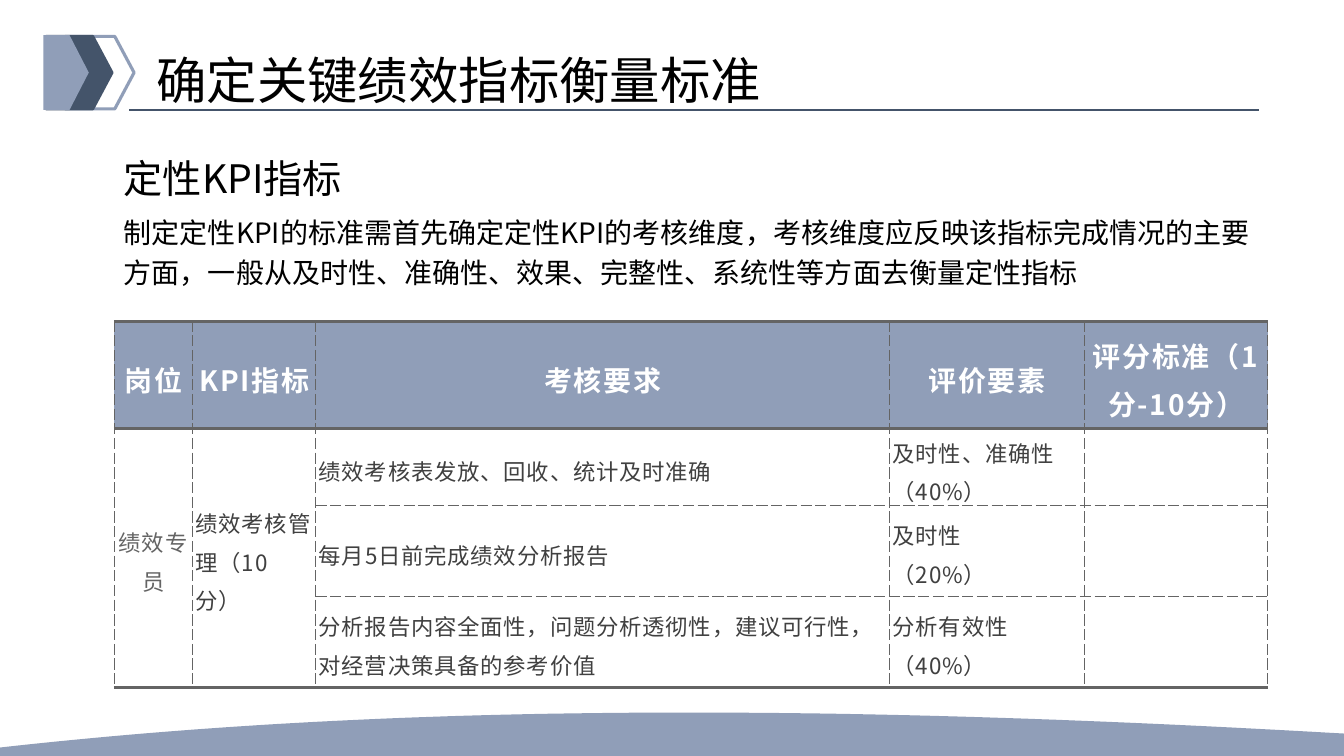
from typing import NamedTuple, Optional

from lxml import etree
from pptx import Presentation
from pptx import util as u
from pptx.dml.color import RGBColor
from pptx.enum import shapes, text
from pptx.oxml.ns import qn

Pt = u.Pt
FONT = "Noto Sans CJK SC"
BLUE = RGBColor(0x90, 0x9E, 0xB8)
NAVY = RGBColor(0x44, 0x54, 0x6A)
BLACK = RGBColor(0, 0, 0)
WHITE = RGBColor(255, 255, 255)
GREY = RGBColor(0x64, 0x64, 0x64)
DARK = RGBColor(0x40, 0x40, 0x40)
LEFT, MID = text.PP_ALIGN.LEFT, text.PP_ALIGN.CENTER


class Style(NamedTuple):
    size: float
    color: RGBColor
    line: float = 1.2
    before: float = 0
    align: text.PP_ALIGN = LEFT
    bold: bool = False
    track: float = 0


class Outline(NamedTuple):
    points: list
    fill: Optional[RGBColor]
    edge: Optional[RGBColor]


class Box(NamedTuple):
    words: str
    top: float
    style: Style


HEAD = Style(20, WHITE, align=MID, bold=True, track=1.2)
POST = Style(16, GREY, align=MID, track=0.6)
CELL = Style(16, DARK, track=0.6)


def write(frame, words: str, style: Style) -> None:
    """Fill a text frame, one paragraph per line of words."""
    frame.text = words
    for para in frame.paragraphs:
        para.alignment = style.align
        para.line_spacing = style.line
        para.space_before = Pt(style.before)
        font = para.font
        font.size, font.bold, font.name = Pt(style.size), style.bold, FONT
        font.color.rgb = style.color
        props = para._p.pPr.find(qn("a:defRPr"))
        props.set("spc", str(round(style.track * 100)))
        etree.SubElement(props, qn("a:ea"), typeface=FONT)


def draw(slide, item: Outline) -> None:
    """Draw a closed outline."""
    pts = [(Pt(x), Pt(y)) for x, y in item.points]
    pen = slide.shapes.build_freeform(*pts[0], scale=1.0)
    pen.add_line_segments(pts[1:], close=True)
    shape = pen.convert_to_shape()
    shape.shadow.inherit = False
    if item.fill is None:
        shape.fill.background()
    else:
        shape.fill.solid()
        shape.fill.fore_color.rgb = item.fill
    if item.edge is None:
        shape.line.fill.background()
    else:
        shape.line.color.rgb = item.edge
        shape.line.width = Pt(2.25)


def curve(a, b, c, d, steps: int = 40) -> list:
    """Points along a cubic curve."""
    out = []
    for i in range(steps + 1):
        t = i / steps
        s = 1 - t
        out.append(tuple(s**3 * p + 3 * s * s * t * q + 3 * s * t * t * r + t**3 * e
                         for p, q, r, e in zip(a, b, c, d)))
    return out


def border(cell, top: bool, base: bool) -> None:
    """Dash all four sides, or make the top or base thick and solid."""
    props = cell._tc.get_or_add_tcPr()
    sides = [("L", False), ("R", False), ("T", top), ("B", base)]
    for i, (side, thick) in enumerate(sides):
        line = etree.Element(qn("a:ln" + side), w=str(Pt(2.25 if thick else 0.75)))
        fill = etree.SubElement(line, qn("a:solidFill"))
        etree.SubElement(fill, qn("a:srgbClr"), val=str(GREY))
        etree.SubElement(line, qn("a:prstDash"), val="solid" if thick else "sysDash")
        props.insert(i, line)


def arrow(left: float, neck: float, tip: float, top: float, base: float) -> list:
    """Pentagon that points right."""
    return [(left, top), (neck, top), (tip, (top + base) / 2), (neck, base), (left, base)]


# Header arrows and the curved footer
OUTLINES = [
    Outline([(46.8, 26)] + arrow(82, 82, 95.8, 26, 77.8)[1:4] + [(46.8, 77.8), (33, 51.9)],
            None, BLUE),
    Outline(arrow(33, 66.2, 80, 26, 77.8), NAVY, NAVY),
    Outline(arrow(31, 49.7, 63.4, 25.2, 78.5), BLUE, None),
    Outline(curve((4.3, 533.5), (167, 515.5), (329.8, 509), (492.5, 509))
            + curve((492.5, 509), (644.4, 509), (796.3, 514.8), (949, 523.4))
            + [(960, 524), (960, 540), (0, 540), (0, 534)], BLUE, None),
]
OUTLINES[0] = Outline([(46.8, 26), (82, 26), (95.8, 51.9), (82, 77.8), (46.8, 77.8),
                       (33, 51.9)], None, BLUE)

BOXES = [
    Box("定性KPI指标", 100, Style(28, BLACK, before=10)),
    Box("制定定性KPI的标准需首先确定定性KPI的考核维度，考核维度应反映该指标完成情况的主要方面，"
        "一般从及时性、准确性、效果、完整性、系统性等方面去衡量定性指标",
        145.4, Style(20, BLACK, before=10)),
]

COLS = [56, 88, 410, 139, 131]
ROWS = [76.5, 55, 65, 65]
DATA = [
    ["岗位", "KPI指标", "考核要求", "评价要素", "评分标准（1分-10分）"],
    ["绩效专员", "绩效考核管理（10分）", "绩效考核表发放、回收、统计及时准确",
     "及时性、准确性（40%）", ""],
    ["", "", "每月5日前完成绩效分析报告", "及时性\n（20%）", ""],
    ["", "", "分析报告内容全面性，问题分析透彻性，建议可行性，对经营决策具备的参考价值",
     "分析有效性\n（40%）", ""],
]


def grid(slide) -> None:
    """Build the scoring table."""
    table = slide.shapes.add_table(len(ROWS), len(COLS), Pt(81.7), Pt(229.8),
                                   Pt(sum(COLS)), Pt(sum(ROWS))).table
    table.first_row = table.horz_banding = False
    for col, width in zip(table.columns, COLS):
        col.width = Pt(width)
    for row, height in zip(table.rows, ROWS):
        row.height = Pt(height)
    for c in range(2):
        table.cell(1, c).merge(table.cell(3, c))
    for r, line in enumerate(DATA):
        for c, words in enumerate(line):
            cell = table.cell(r, c)
            cell.fill.solid()
            cell.fill.fore_color.rgb = WHITE if r else BLUE
            cell.vertical_anchor = text.MSO_ANCHOR.MIDDLE
            cell.margin_left = cell.margin_right = Pt(2)
            cell.margin_top = cell.margin_bottom = Pt(0.75)
            border(cell, r < 2, r in (0, 3) or c < 2)
            write(cell.text_frame, words, HEAD if r == 0 else CELL if c else POST)


def main() -> None:
    deck = Presentation()
    deck.slide_width, deck.slide_height = Pt(960), Pt(540)
    slide = deck.slides.add_slide(deck.slide_layouts[5])

    # Decoration
    for item in OUTLINES:
        draw(slide, item)
    rule = slide.shapes.add_connector(shapes.MSO_CONNECTOR.STRAIGHT,
                                      Pt(92.2), Pt(78.5), Pt(899.3), Pt(78.5))
    rule.line.color.rgb = NAVY
    rule.line.width = Pt(1.5)
    etree.SubElement(rule._element.spPr, qn("a:effectLst"))

    # Title
    title = slide.shapes.title
    title.left, title.top, title.width, title.height = Pt(104.4), Pt(23), Pt(828), Pt(72.7)
    title.text_frame.auto_size = text.MSO_AUTO_SIZE.NONE
    title.text_frame.vertical_anchor = text.MSO_ANCHOR.MIDDLE
    write(title.text_frame, "确定关键绩效指标衡量标准", Style(36, BLACK, line=0.9))

    # Introduction
    for box in BOXES:
        frame = slide.shapes.add_textbox(Pt(81.4), Pt(box.top), Pt(828), Pt(63.4)).text_frame
        frame.word_wrap = True
        write(frame, box.words, box.style)

    grid(slide)
    deck.save("out.pptx")


if __name__ == "__main__":
    main()
